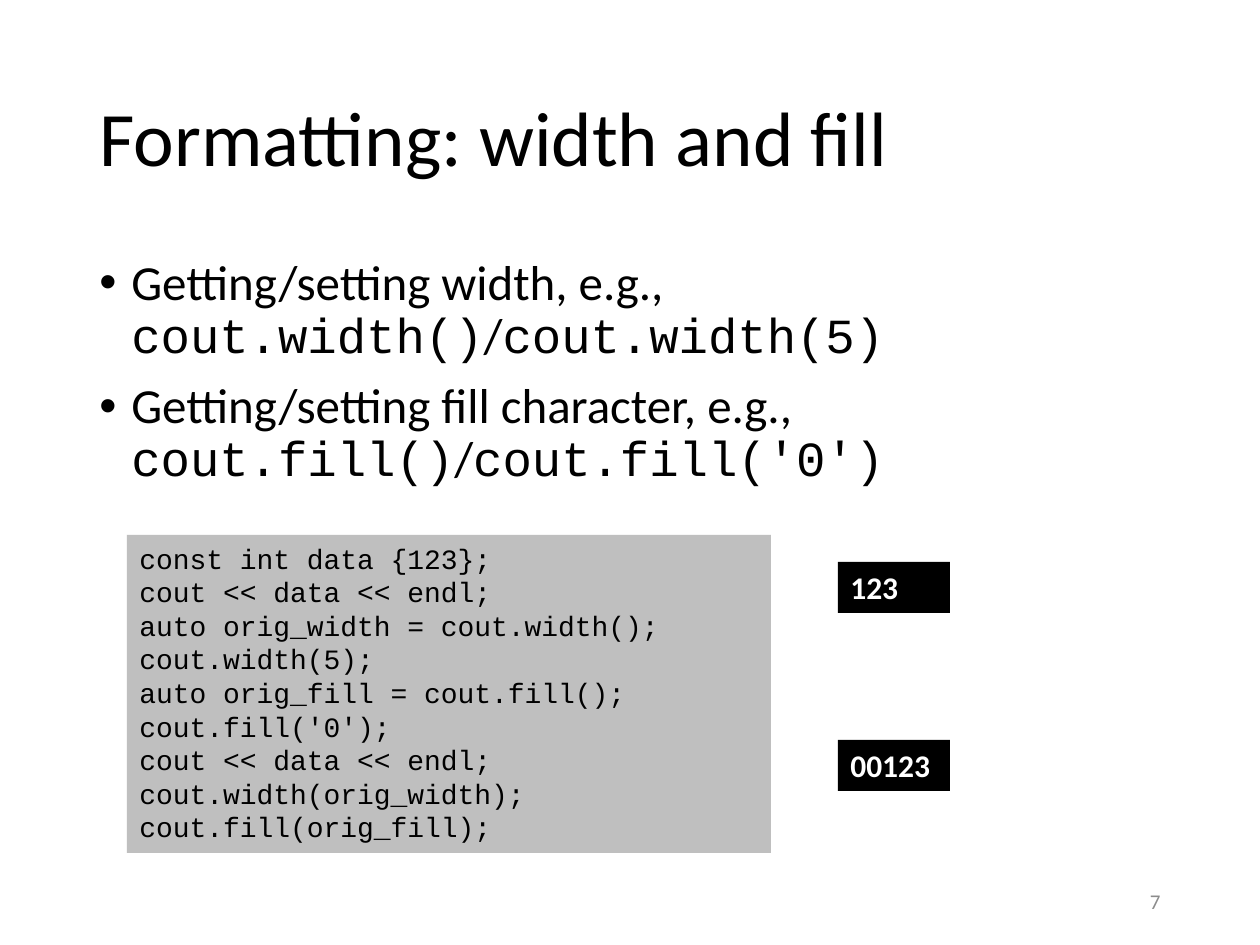
"""Build a slide on stream width and fill formatting."""
from lxml.etree import SubElement
from pptx import Presentation
from pptx.dml.color import RGBColor
from pptx.enum.shapes import MSO_SHAPE
from pptx.enum.text import MSO_ANCHOR, PP_ALIGN
from pptx.oxml.ns import qn
from pptx.util import Pt

UNIT = 914400 / 126
SANS, MONO = "Calibri", "Courier New"
HUES = {"ink": "000000", "paper": "FFFFFF", "code": "BFBFBF", "page": "8C8C8C"}

CODE = """const int data {123};
cout << data << endl;
auto orig_width = cout.width();
cout.width(5);
auto orig_fill = cout.fill();
cout.fill('0');
cout << data << endl;
cout.width(orig_width);
cout.fill(orig_fill);"""
POINTS = [
    ("Getting/setting width, e.g.,", "cout.width()", "cout.width(5)"),
    ("Getting/setting fill character, e.g.,", "cout.fill()", "cout.fill('0')"),
]
PRINTS = [("123", 562), ("00123", 740)]


def px(n):
    return round(n * UNIT)


def write(para, text, size=18, font=SANS, hue="ink", bold=False):
    run = para.add_run()
    run.text = text
    run.font.size = Pt(size)
    run.font.name = font
    run.font.bold = bold
    run.font.color.rgb = RGBColor.from_string(HUES[hue])


class Deck:
    def __init__(self):
        self.show = Presentation()
        self.show.slide_width, self.show.slide_height = px(1260), px(945)
        self.slide = self.show.slides.add_slide(self.show.slide_layouts[6])

    def frame(self, box, anchor=MSO_ANCHOR.TOP):
        frame = self.slide.shapes.add_textbox(*map(px, box)).text_frame
        frame.word_wrap = True
        frame.vertical_anchor = anchor
        return frame

    def line(self, box, text, align=PP_ALIGN.LEFT, space=1.0, **form):
        para = self.frame(box, MSO_ANCHOR.MIDDLE).paragraphs[0]
        para.alignment = align
        para.line_spacing = space
        write(para, text, **form)

    def points(self, box, items, size):
        frame = self.frame(box)
        for i, (lead, get, put) in enumerate(items):
            para = frame.add_paragraph() if i else frame.paragraphs[0]
            para.line_spacing = 0.9
            para.space_before = Pt(10)
            props = para._p.get_or_add_pPr()
            props.set("marL", str(px(32)))
            props.set("indent", str(-px(32)))
            SubElement(props, qn("a:buFont"), typeface="Arial")
            SubElement(props, qn("a:buChar"), char="•")
            write(para, lead, size=size)
            para.add_line_break()
            for text, font in ((get, MONO), ("/", SANS), (put, MONO)):
                write(para, text, size=size, font=font)

    def panel(self, box, text, fill, **form):
        shape = self.slide.shapes.add_shape(MSO_SHAPE.RECTANGLE, *map(px, box))
        shape.shadow.inherit = False
        shape.fill.solid()
        shape.fill.fore_color.rgb = RGBColor.from_string(HUES[fill])
        shape.line.fill.background()
        frame = shape.text_frame
        frame.word_wrap = True
        frame.vertical_anchor = MSO_ANCHOR.TOP
        for i, row in enumerate(text.split("\n")):
            para = frame.add_paragraph() if i else frame.paragraphs[0]
            para.alignment = PP_ALIGN.LEFT
            write(para, row, **form)


def main():
    deck = Deck()
    deck.line((87, 50, 1086, 183), "Formatting: width and fill", space=0.9, size=44)
    deck.points((87, 252, 1086, 600), POINTS, size=28)
    deck.line((890, 876, 283, 50), "7", align=PP_ALIGN.RIGHT, size=12, hue="page")
    deck.panel((127, 535, 644, 318), CODE, "code", size=16, font=MONO)
    for text, top in PRINTS:
        deck.panel((838, top, 112, 51), text, "ink", hue="paper", bold=True)
    deck.show.save("out.pptx")


if __name__ == "__main__":
    main()
